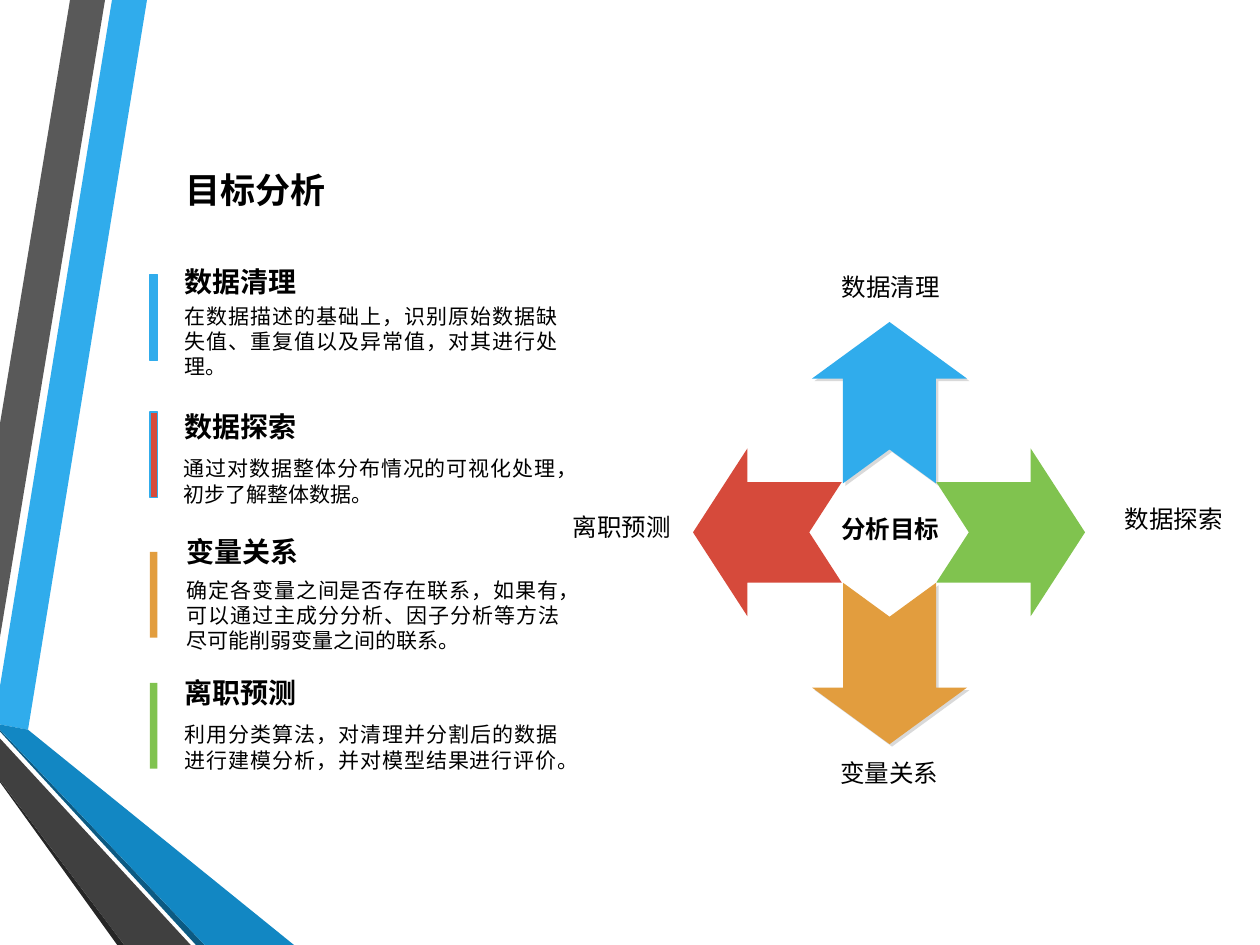
from dataclasses import dataclass

import pptx
import pptx.dml.color
import pptx.enum.shapes
import pptx.enum.text
import pptx.oxml
import pptx.oxml.ns
import pptx.util
from lxml import etree

Pt = pptx.util.Pt
Align = pptx.enum.text.PP_ALIGN
Preset = pptx.enum.shapes.MSO_SHAPE
FONT = "Noto Sans CJK SC"
BLUE, GREEN, RED, ORANGE = "30ACEC", "80C34F", "D64A3B", "E29D3E"


@dataclass
class Ribbon:
    color: str
    points: list[tuple[float, float]]


@dataclass
class Goal:
    heading: str
    detail: str
    color: str
    bar_top: float
    heading_at: tuple[float, float]
    detail_at: tuple[float, float]
    outlined: bool = False


@dataclass
class Arrow:
    color: str
    frame: tuple[float, float, float, float]
    rotation: int
    label: str
    label_frame: tuple[float, float, float, float]
    shadowed: bool = False


RIBBONS = [
    Ribbon(BLUE, [(0, 391.7), (0, 414), (15.8, 416.9), (84.2, 0), (64.1, 0)]),
    Ribbon("595959", [(59.8, 0), (39.6, 0), (0, 241.9), (0, 364.3)]),
    Ribbon("262626", [(0, 445.7), (0, 447.1), (67, 540), (71.3, 540)]),
    Ribbon("0C5A82", [(0, 416.9), (0, 417.6), (112.3, 540), (117.4, 540)]),
    Ribbon("1287C3", [(0, 416.9), (117.4, 540), (167.8, 540), (15.8, 416.9), (0, 414)]),
    Ribbon("404040", [(0, 445.7), (71.3, 540), (108.7, 540), (0, 421.9)]),
]

GOALS = [
    Goal("数据清理", "在数据描述的基础上，识别原始数据缺失值、重复值以及异常值，对其进行处理。",
         BLUE, 157, (98.6, 147.6), (98.6, 169.9), outlined=True),
    Goal("数据探索", "通过对数据整体分布情况的可视化处理，初步了解整体数据。",
         RED, 235.4, (98.6, 230.4), (97.9, 257), outlined=True),
    Goal("变量关系", "确定各变量之间是否存在联系，如果有，可以通过主成分分析、因子分析等方法尽可能削弱变量之间的联系。",
         ORANGE, 315.4, (99.4, 301.7), (99.4, 326.2)),
    Goal("离职预测", "利用分类算法，对清理并分割后的数据进行建模分析，并对模型结果进行评价。",
         GREEN, 390.2, (98.6, 382.3), (98.6, 409)),
]

ARROWS = [
    Arrow(BLUE, (462.2, 185.8, 92.2, 88.6), 270, "数据清理",
          (458.6, 147.6, 100.8, 49.7), shadowed=True),
    Arrow(GREEN, (535, 256.3, 85, 95.8), 0, "数据探索", (621.4, 280.1, 98.6, 25.2)),
    Arrow(ORANGE, (462.2, 334.8, 92.2, 88.6), 90, "变量关系",
          (457.2, 425.5, 102.2, 25.2), shadowed=True),
    Arrow(RED, (396, 256.3, 85, 95.8), 180, "离职预测", (307.4, 284.4, 95.8, 25.2)),
]


def rgb(color: str) -> pptx.dml.color.RGBColor:
    return pptx.dml.color.RGBColor.from_string(color)


def paint(shape, color: str, outline: str | None = None) -> None:
    shape.shadow.inherit = False
    shape.fill.solid()
    shape.fill.fore_color.rgb = rgb(color)
    if outline:
        shape.line.color.rgb = rgb(outline)
        shape.line.width = Pt(0.75)
    else:
        shape.line.fill.background()


def write(box, text: str, *, size: float, bold: bool = False, align=Align.LEFT,
          spacing: float = 1.0, wrap: bool = True,
          margins: tuple[float, float] = (7.2, 3.6)) -> None:
    frame = box.text_frame
    frame.word_wrap = wrap
    frame.auto_size = pptx.enum.text.MSO_AUTO_SIZE.SHAPE_TO_FIT_TEXT
    frame.vertical_anchor = pptx.enum.text.MSO_ANCHOR.TOP
    frame.margin_left = frame.margin_right = Pt(margins[0])
    frame.margin_top = frame.margin_bottom = Pt(margins[1])
    para = frame.paragraphs[0]
    para.alignment = align
    para.line_spacing = spacing
    span = para.add_run()
    span.text = text
    span.font.size = Pt(size)
    span.font.bold = bold
    span.font.name = FONT
    span.font.color.rgb = rgb("000000")
    # East Asian text takes its own typeface entry
    east_asian = etree.SubElement(span.font._element, pptx.oxml.ns.qn("a:ea"))
    east_asian.set("typeface", FONT)


def add_text(page, frame: tuple[float, float, float, float], text: str, **style) -> None:
    write(page.shapes.add_textbox(*map(Pt, frame)), text, **style)


def draw_ribbon(page, ribbon: Ribbon) -> None:
    start, *rest = ribbon.points
    builder = page.shapes.build_freeform(*start, scale=Pt(1))
    builder.add_line_segments(rest, close=True)
    paint(builder.convert_to_shape(), ribbon.color)


def draw_goal(page, goal: Goal) -> None:
    bar = page.shapes.add_shape(Preset.RECTANGLE, Pt(85.7), Pt(goal.bar_top), Pt(4.3), Pt(49))
    paint(bar, goal.color, BLUE if goal.outlined else None)
    add_text(page, (*goal.heading_at, 157.7, 26.6), goal.heading, size=16, bold=True)
    add_text(page, (*goal.detail_at, 227.5, 51), goal.detail, size=12, align=Align.JUSTIFY)


def add_shadow(shape) -> None:
    effects = shape._element.spPr.find(pptx.oxml.ns.qn("a:effectLst"))
    effects.append(pptx.oxml.parse_xml(
        f'<a:outerShdw {pptx.oxml.ns.nsdecls("a")} blurRad="0" dist="{Pt(2)}" '
        'dir="2700000" algn="tl" rotWithShape="0">'
        '<a:srgbClr val="000000"><a:alpha val="14000"/></a:srgbClr></a:outerShdw>'))


def draw_arrow(page, arrow: Arrow) -> None:
    shape = page.shapes.add_shape(Preset.NOTCHED_RIGHT_ARROW, *map(Pt, arrow.frame))
    shape.adjustments[0] = 0.6
    shape.adjustments[1] = 0.365
    shape.rotation = arrow.rotation
    paint(shape, arrow.color)
    if arrow.shadowed:
        add_shadow(shape)
    add_text(page, arrow.label_frame, arrow.label, size=14, align=Align.CENTER,
             spacing=1.3, margins=(5, 2.9))


def main() -> None:
    deck = pptx.Presentation()
    deck.slide_width, deck.slide_height = Pt(720), Pt(540)
    page = deck.slides.add_slide(deck.slide_layouts.get_by_name("Title Only"))

    # Ribbons along the left edge
    for ribbon in RIBBONS:
        draw_ribbon(page, ribbon)

    # Title
    title = page.shapes.title
    title.left, title.top, title.width, title.height = map(Pt, (98.6, 92.9, 95, 31.7))
    write(title, "目标分析", size=20, bold=True, wrap=False)

    # Goals with their coloured bars
    for goal in GOALS:
        draw_goal(page, goal)

    # Arrows around the centre
    for arrow in ARROWS:
        draw_arrow(page, arrow)
    add_text(page, (466.6, 290.9, 84.2, 22.3), "分析目标", size=14, bold=True,
             align=Align.CENTER, margins=(5, 2.9))

    deck.save("out.pptx")


if __name__ == "__main__":
    main()
